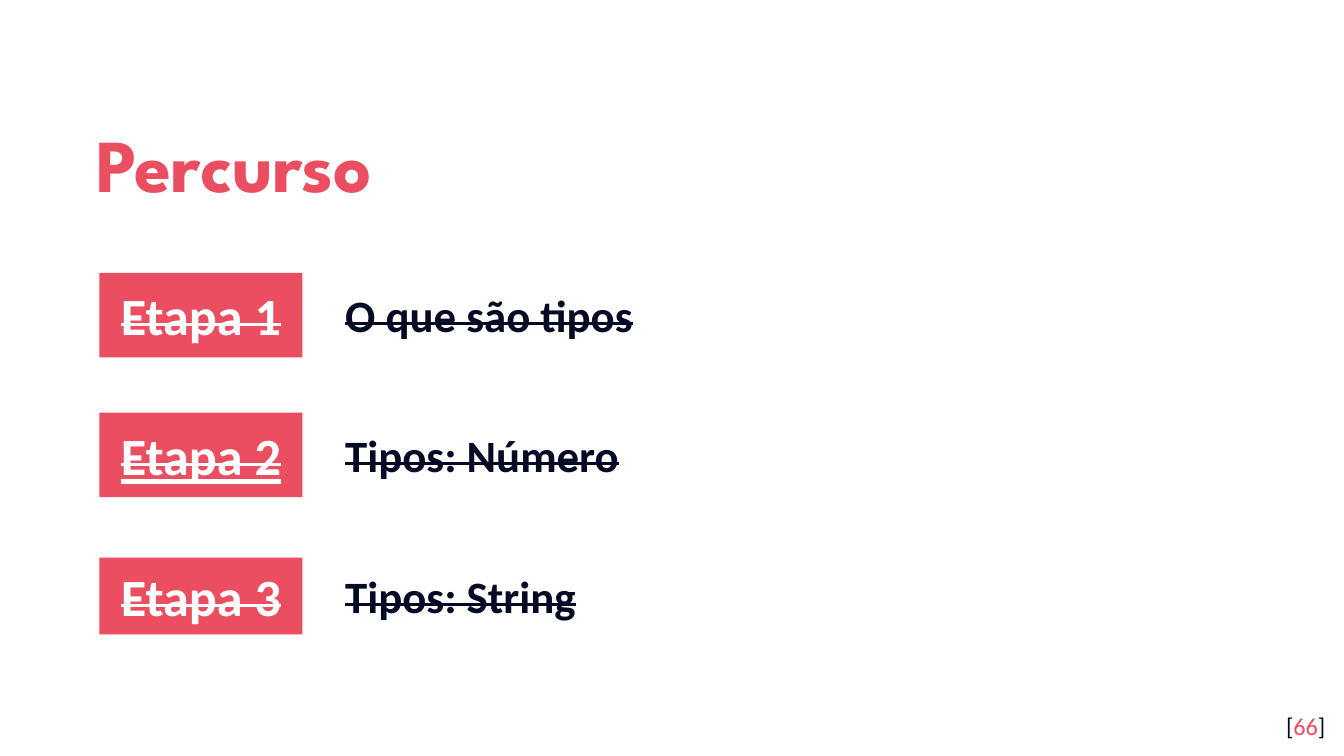
from pptx import Presentation
from pptx.dml.color import RGBColor
from pptx.enum.shapes import MSO_SHAPE
from pptx.enum.text import MSO_ANCHOR, PP_ALIGN
from pptx.util import Inches, Pt

TITLE = "Percurso"
STEPS = [
    ("Etapa 1", "O que são tipos", 2.03, 0.63, False),
    ("Etapa 2", "Tipos: Número", 3.07, 0.63, True),
    ("Etapa 3", "Tipos: String", 4.15, 0.57, False),
]
NUMBER = [("[", "navy"), ("66", "coral"), ("]", "navy")]
COLORS = {"coral": "EA4E60", "navy": "040A24", "white": "FFFFFF"}
WIDTH = 10
LINE = 0.5

deck = Presentation()
deck.slide_width, deck.slide_height = Inches(WIDTH), Inches(WIDTH * 9 / 16)
slide = deck.slides.add_slide(deck.slide_layouts[6])


def color(name):
    return RGBColor.from_string(COLORS[name])


def write(text, box, fill=None, tint="navy", size=24, font="Calibri",
          bold=True, strike=False, under=False, align=PP_ALIGN.LEFT,
          anchor=MSO_ANCHOR.TOP, pad=0.1, space=None, hang=0):
    area = [Inches(n) for n in box]
    if fill:
        shape = slide.shapes.add_shape(MSO_SHAPE.RECTANGLE, *area)
        shape.shadow.inherit = False
        shape.fill.solid()
        shape.fill.fore_color.rgb = color(fill)
        shape.line.fill.background()
    else:
        shape = slide.shapes.add_textbox(*area)
    frame = shape.text_frame
    frame.word_wrap = True
    frame.vertical_anchor = anchor
    frame.margin_left = frame.margin_right = Inches(0.1)
    frame.margin_top = frame.margin_bottom = Inches(pad)
    para = frame.paragraphs[0]
    para.alignment = align
    if space:
        para.line_spacing = space
    if hang:
        props = para._p.get_or_add_pPr()
        props.set("marL", str(Inches(hang)))
        props.set("indent", str(-Inches(hang)))
    parts = [(text, tint)] if isinstance(text, str) else text
    for words, shade in parts:
        run = para.add_run()
        run.text = words
        run.font.name = font
        run.font.size = Pt(size)
        run.font.bold = bold
        run.font.underline = under
        run.font.color.rgb = color(shade)
        if strike:
            run.font._element.set("strike", "sngStrike")


write(TITLE, (0.62, 0.7, 8.1, 0.92), tint="coral", size=40,
      font="League Spartan", anchor=MSO_ANCHOR.MIDDLE, space=1.15)

for label, topic, top, height, under in STEPS:
    write(label, (0.74, top, 1.51, height), fill="coral", tint="white",
          size=28, strike=True, under=under, align=PP_ALIGN.CENTER,
          anchor=MSO_ANCHOR.MIDDLE)
    write(topic, (2.47, top + (height - LINE) / 2, 6.75, LINE),
          strike=True, pad=0.05, hang=0.5)

write(NUMBER, (9.36, 5.19, 0.6, 0.43), size=13, bold=False,
      align=PP_ALIGN.RIGHT)

deck.save("out.pptx")
